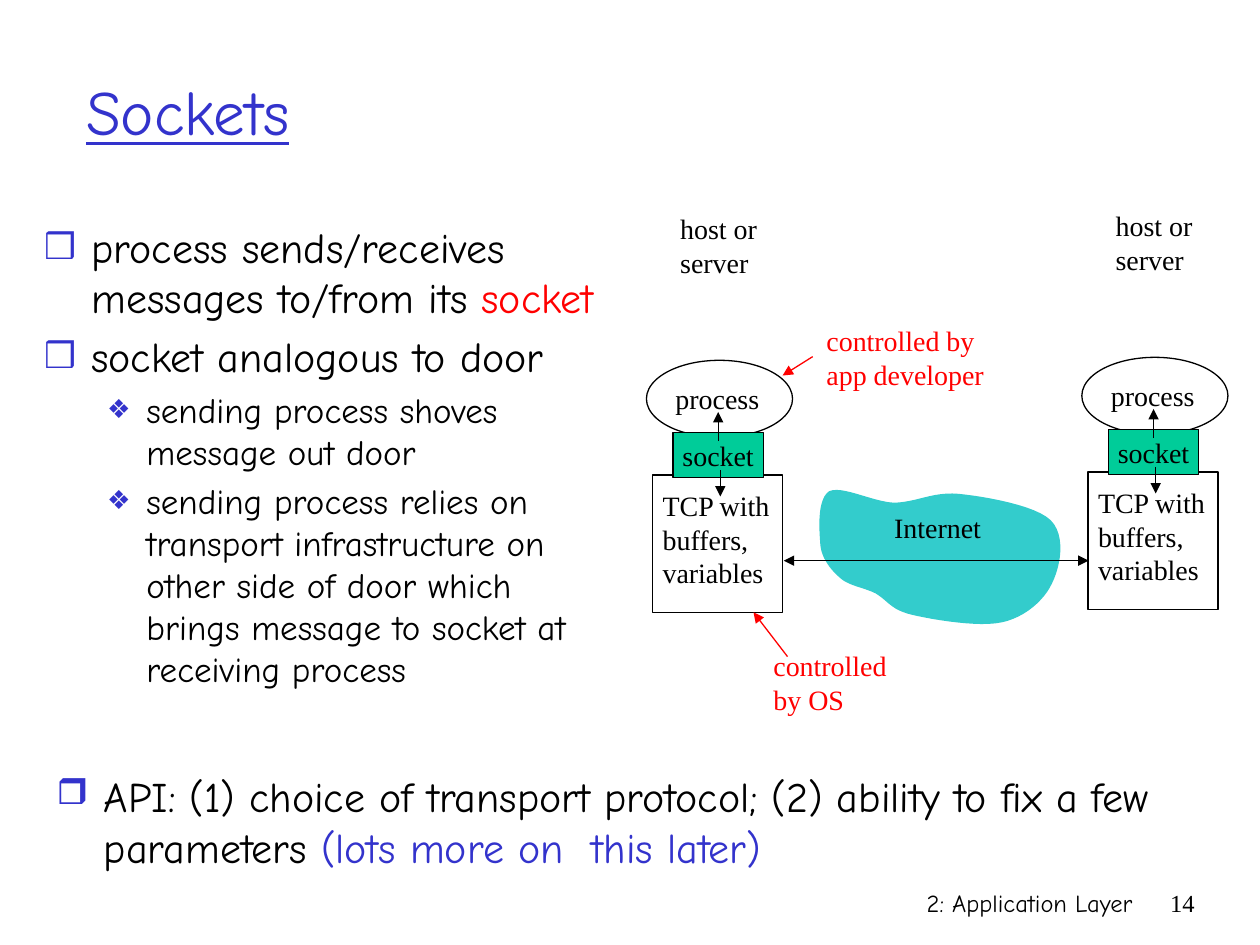
from lxml import etree
from pptx import Presentation
from pptx.dml.color import RGBColor
from pptx.enum.shapes import MSO_CONNECTOR, MSO_SHAPE
from pptx.enum.text import MSO_ANCHOR, MSO_AUTO_SIZE, PP_ALIGN
from pptx.oxml.ns import qn
from pptx.util import Pt

STRAIGHT = MSO_CONNECTOR.STRAIGHT
RECT, OVAL = MSO_SHAPE.RECTANGLE, MSO_SHAPE.OVAL
LEFT, CENTER, RIGHT = PP_ALIGN.LEFT, PP_ALIGN.CENTER, PP_ALIGN.RIGHT
MIDDLE, TOP = MSO_ANCHOR.MIDDLE, MSO_ANCHOR.TOP
NO_FIT, GROW = MSO_AUTO_SIZE.NONE, MSO_AUTO_SIZE.SHAPE_TO_FIT_TEXT

COLORS = {"text": "000000", "accent": "3333CC", "alert": "FF0000",
          "socket": "00CC99", "cloud": "33CCCC"}
HAND, SERIF = "Comic Neue", "Times New Roman"

# level: (bullet, size %, left margin, hanging indent, text size)
LEVELS = [("❒", 85, 27, 27, 24), ("❖", 75, 58.5, 22.5, 20)]

MAIN_POINTS = [
    (0, [("process sends/receives messages to/from its ", "text"),
         ("socket", "alert")]),
    (0, [("socket analogous to door", "text")]),
    (1, [("sending process shoves message out door", "text")]),
    (1, [("sending process relies on transport infrastructure on other side "
          "of door which brings message to socket at receiving process",
          "text")]),
]
API_POINT = [
    (0, [("API: (1) choice of transport protocol; (2) ability to fix a few "
          "parameters ", "text"),
         ("(lots more on  this later)", "accent")]),
]

# Cloud outline as Bezier knots, in hundredths of an inch
CLOUD_START = (651, 430)
CLOUD_CURVES = [
    ((650, 418), (649, 396), (658, 390)), ((668, 385), (692, 398), (709, 399)),
    ((727, 399), (740, 390), (761, 392)), ((781, 394), (822, 401), (834, 413)),
    ((846, 425), (842, 449), (835, 463)), ((829, 476), (814, 490), (795, 494)),
    ((777, 498), (741, 492), (724, 488)), ((707, 484), (705, 477), (695, 471)),
    ((685, 466), (673, 465), (666, 458)), ((658, 451), (651, 441), (651, 430)),
]


def rgb(name):
    return RGBColor.from_string(COLORS[name])


def place(sp, x, y, w, h):
    sp.left, sp.top, sp.width, sp.height = Pt(x), Pt(y), Pt(w), Pt(h)


def style(p, font, size, color, align=LEFT):
    p.alignment = align
    for r in p.runs:
        r.font.name, r.font.size = font, Pt(size)
        r.font.color.rgb = rgb(color)


def add_label(shapes, box, text, color="text", align=LEFT, font=SERIF,
              size=16, wrap=False):
    sp = shapes.add_textbox(*map(Pt, box))
    tf = sp.text_frame
    tf.text = text
    tf.word_wrap = wrap
    tf.auto_size = NO_FIT if wrap else GROW
    for p in tf.paragraphs:
        style(p, font, size, color, align)


def add_box(shapes, kind, box, fill=None):
    sp = shapes.add_shape(kind, *map(Pt, box))
    sp.shadow.inherit = False
    if fill:
        sp.fill.solid()
        sp.fill.fore_color.rgb = rgb(fill)
    else:
        sp.fill.background()
    sp.line.color.rgb = rgb("text")
    sp.line.width = Pt(0.75)
    return sp


def add_arrow(shapes, start, end, color="text", ends=("tailEnd",)):
    line = shapes.add_connector(STRAIGHT, *map(Pt, start + end))
    line.line.color.rgb = rgb(color)
    line.line.width = Pt(0.75)
    ln = line.line._get_or_add_ln()
    for tag in ends:
        etree.SubElement(ln, qn("a:" + tag), type="triangle")
    etree.SubElement(line._element.spPr, qn("a:effectLst"))


def set_bullet(p, level):
    char, percent, margin, hang, _ = LEVELS[level]
    p.level = level
    pPr = p._p.get_or_add_pPr()
    pPr.set("marL", str(Pt(margin)))
    pPr.set("indent", str(-Pt(hang)))
    color = etree.SubElement(pPr, qn("a:buClr"))
    etree.SubElement(color, qn("a:srgbClr"), val=COLORS["accent"])
    etree.SubElement(pPr, qn("a:buSzPct"), val=str(percent * 1000))
    etree.SubElement(pPr, qn("a:buChar"), char=char)


def fill_list(tf, points):
    tf.word_wrap = True
    tf.auto_size = NO_FIT
    tf.vertical_anchor = TOP
    for i, (level, parts) in enumerate(points):
        p = tf.add_paragraph() if i else tf.paragraphs[0]
        set_bullet(p, level)
        size = LEVELS[level][-1]
        p.space_before = Pt(size * 0.2 if i else 0)
        p.alignment = LEFT
        for text, color in parts:
            r = p.add_run()
            r.text = text
            r.font.name, r.font.size = HAND, Pt(size)
            r.font.color.rgb = rgb(color)


def add_title(slide, box):
    sp = slide.shapes.title
    place(sp, *box)
    tf = sp.text_frame
    tf.text = "Sockets"
    tf.auto_size = NO_FIT
    tf.vertical_anchor = MIDDLE
    p = tf.paragraphs[0]
    style(p, HAND, 36, "accent")
    p.runs[0].font.underline = True


def add_cloud(slide):
    points, start = [], CLOUD_START
    for c1, c2, end in CLOUD_CURVES:
        for t in (i / 12 for i in range(1, 13)):
            u = 1 - t
            points.append(tuple(
                Pt(0.72 * (u**3 * a + 3 * u * u * t * b
                           + 3 * u * t * t * c + t**3 * d))
                for a, b, c, d in zip(start, c1, c2, end)))
        start = end
    builder = slide.shapes.build_freeform(*points[-1])
    builder.add_line_segments(points, close=True)
    sp = builder.convert_to_shape()
    sp.shadow.inherit = False
    sp.fill.solid()
    sp.fill.fore_color.rgb = rgb("cloud")
    sp.line.fill.background()


def add_host(slide, x, y):
    """One end system: its label, process, socket and TCP box."""
    shapes = slide.shapes.add_group_shape().shapes
    add_box(shapes, OVAL, (x, y + 88.5, 83.5, 44))
    add_label(shapes, (x + 9.5, y + 97.2, 62.6, 26.6), "process")
    add_box(shapes, RECT, (x + 3.6, y + 154, 74.2, 78.5))
    add_label(shapes, (x + 2.2, y + 158.4, 76.3, 64.8),
              "TCP with\nbuffers,\nvariables")
    socket = add_box(shapes, RECT, (x + 15.1, y + 129.6, 51.8, 26), "socket")
    tf = socket.text_frame
    tf.text = "socket"
    tf.word_wrap = False
    tf.vertical_anchor = MIDDLE
    style(tf.paragraphs[0], SERIF, 16, "text", CENTER)
    add_arrow(shapes, (x + 41, y + 134.6), (x + 41, y + 118))
    add_arrow(shapes, (x + 42.2, y + 151.2), (x + 42.2, y + 166.3))
    add_label(shapes, (x + 12.2, y, 58.3, 46), "host or\nserver")


def add_diagram(slide, x, y):
    shapes = slide.shapes
    add_cloud(slide)
    add_host(slide, x, y)
    add_host(slide, x + 248.8, y - 1.7)
    add_label(shapes, (x + 134, y + 170.6, 64.8, 26.6), "Internet",
              align=CENTER)
    add_arrow(shapes, (x + 78.5, y + 203), (x + 252.7, y + 203),
              ends=("headEnd", "tailEnd"))
    add_label(shapes, (x + 65.5, y + 249.8, 80, 46), "controlled\nby OS",
              "alert")
    add_arrow(shapes, (x + 80.6, y + 257.8), (x + 61.2, y + 232.5), "alert")
    add_label(shapes, (x + 95.8, y + 64, 105, 46),
              "controlled by\napp developer", "alert")
    add_arrow(shapes, (x + 95, y + 86.4), (x + 77.8, y + 97.2), "alert")


def add_footer(slide, y):
    for box, text, font in (((426.2, y, 228.2, 36), "2: Application Layer", HAND),
                            ((653.8, y, 36, 36), "14", SERIF)):
        add_label(slide.shapes, box, text, align=RIGHT, font=font, size=14,
                  wrap=True)


def main():
    prs = Presentation()
    prs.slide_width, prs.slide_height = Pt(720), Pt(540)
    slide = prs.slides.add_slide(prs.slide_layouts[1])
    add_title(slide, (42, 18, 636, 90))
    body = slide.placeholders[1]
    place(body, 18, 123, 331, 309.6)
    fill_list(body.text_frame, MAIN_POINTS)
    add_diagram(slide, 369.4, 117.4)
    api = slide.shapes.add_textbox(Pt(25.2), Pt(437), Pt(653.8), Pt(63.4))
    fill_list(api.text_frame, API_POINT)
    add_footer(slide, 504)
    prs.save("out.pptx")


if __name__ == "__main__":
    main()
